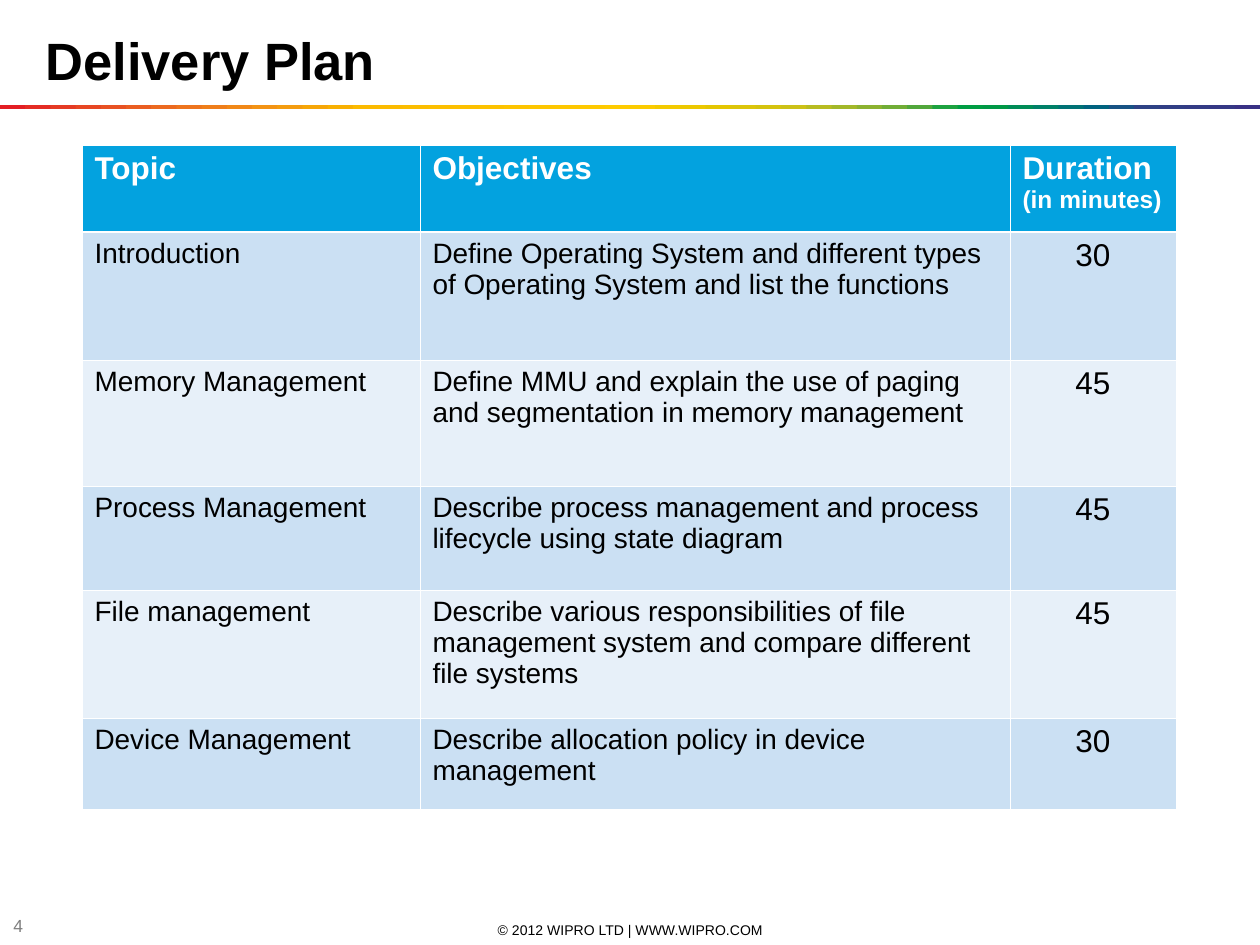
"""Build the Delivery Plan slide with its rainbow rule and timetable."""
from lxml import etree
from pptx import Presentation
from pptx import util as u
from pptx.dml.color import RGBColor
from pptx.enum import shapes, text
from pptx.oxml import parse_xml
from pptx.oxml.ns import nsdecls

SCALE = 914400 / 126


def px(value):
    return u.Emu(round(value * SCALE))


def add_run(paragraph, wording, size, color="000000", bold=False):
    run = paragraph.add_run()
    run.text = wording
    run.font.name = "Arial"
    run.font.size = u.Pt(size)
    run.font.bold = bold
    run.font.color.rgb = RGBColor.from_string(color)


presentation = Presentation()
presentation.slide_width = px(1260)
presentation.slide_height = px(945)
slide = presentation.slides.add_slide(presentation.slide_layouts[5])

footers = [
    (431, 920, 399, 20, "© 2012 WIPRO LTD | WWW.WIPRO.COM", 8, "000000", text.PP_ALIGN.CENTER),
    (1, 916, 49, 20, "4", 10, "7F7F7F", text.PP_ALIGN.LEFT),
]
for left, top, width, height, wording, size, color, alignment in footers:
    shape = slide.shapes.add_textbox(px(left), px(top), px(width), px(height))
    shape.text_frame.word_wrap = True
    shape.text_frame.vertical_anchor = text.MSO_ANCHOR.MIDDLE
    paragraph = shape.text_frame.paragraphs[0]
    paragraph.alignment = alignment
    add_run(paragraph, wording, size, color)

rainbow = """
E31E24 E42C24 E53A24 E74623 E85122 EA5D21 EC691F EE741D EF7E1A F18817
F39314 F49C0F F6A607 F8B002 FBBA00 FBBB00 FBBD00 FCBF00 FCC000 FCC200
FDC400 FDC600 FDC700 FEC900 FECB00 FBCB00 F3CA00 ECC800 E4C602 DCC50A
D5C30E CCC117 B8BC21 A3B829 8CB230 71AD36 51A73B 1DA240 009D43 009846
008C57 008068 007275 00637F 185384 2E4285 313E85 333B85 353885 393185
""".split()
step = 1260 / len(rainbow)
for index, color in enumerate(rainbow):
    left = index * step
    width = min(2 * step, 1260 - left)
    shape = slide.shapes.add_shape(
        shapes.MSO_SHAPE.RECTANGLE, px(left), px(105), px(width), px(4))
    shape.shadow.inherit = False
    shape.fill.solid()
    shape.fill.fore_color.rgb = RGBColor.from_string(color)
    shape.line.fill.background()

columns = [338, 590, 166]
rows = [87, 128, 126, 104, 128, 91]
plan = [
    ("Topic", "Objectives", "Duration"),
    ("Introduction",
     "Define Operating System and different types of Operating System and list the functions", "30"),
    ("Memory Management",
     "Define MMU and explain the use of paging and segmentation in memory management", "45"),
    ("Process Management",
     "Describe process management and process lifecycle using state diagram", "45"),
    ("File management",
     "Describe various responsibilities of file management system and compare different file systems", "45"),
    ("Device Management", "Describe allocation policy in device management", "30"),
]
table = slide.shapes.add_table(
    len(rows), len(columns), px(82), px(145), px(sum(columns)), px(sum(rows))).table
for column, width in zip(table.columns, columns):
    column.width = px(width)
for row, height in zip(table.rows, rows):
    row.height = px(height)

for row_index, entries in enumerate(plan):
    header = row_index == 0
    fill = "03A2DF" if header else ("E7F0F9", "CBE0F3")[row_index % 2]
    for column_index, wording in enumerate(entries):
        duration = column_index == 2
        cell = table.cell(row_index, column_index)
        properties = cell._tc.get_or_add_tcPr()
        for side in "LRTB":
            heavy = (row_index, side) in ((0, "B"), (1, "T"))
            properties.append(parse_xml(
                f'<a:ln{side} {nsdecls("a")} w="{u.Pt(1.47 if heavy else 0.45)}">'
                '<a:solidFill><a:srgbClr val="FFFFFF"/></a:solidFill>'
                f'</a:ln{side}>'))
        cell.fill.solid()
        cell.fill.fore_color.rgb = RGBColor.from_string(fill)
        paragraph = cell.text_frame.paragraphs[0]
        if duration and not header:
            paragraph.alignment = text.PP_ALIGN.CENTER
        add_run(paragraph, wording, 18 if header or duration else 16,
                "FFFFFF" if header else "000000", header)
add_run(table.cell(0, 2).text_frame.add_paragraph(), "(in minutes)", 14, "FFFFFF", True)

title = slide.shapes.title
title.left, title.top, title.width, title.height = px(33), px(20), px(1164), px(77)
title.text_frame.word_wrap = True
title.text_frame.vertical_anchor = text.MSO_ANCHOR.BOTTOM
paragraph = title.text_frame.paragraphs[0]
paragraph.alignment = text.PP_ALIGN.LEFT
add_run(paragraph, "Delivery Plan", 30, bold=True)

presentation.save("out.pptx")
